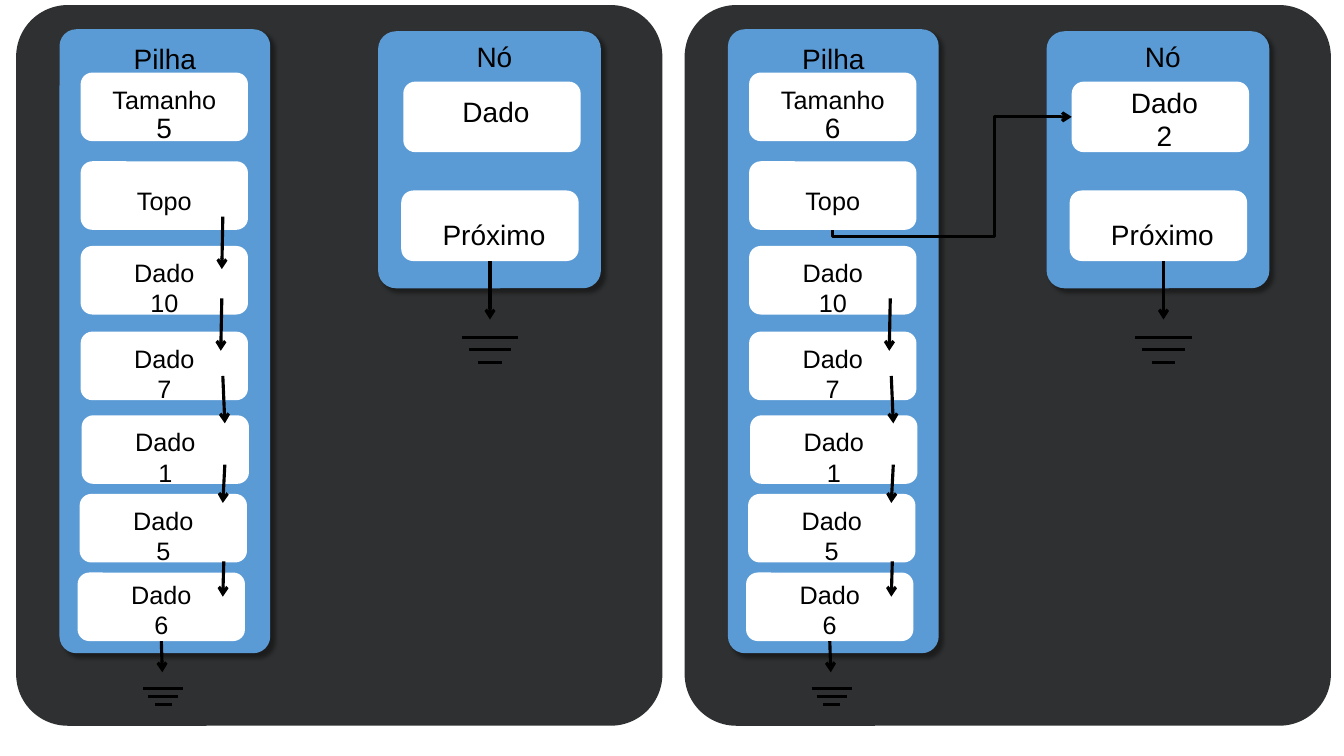
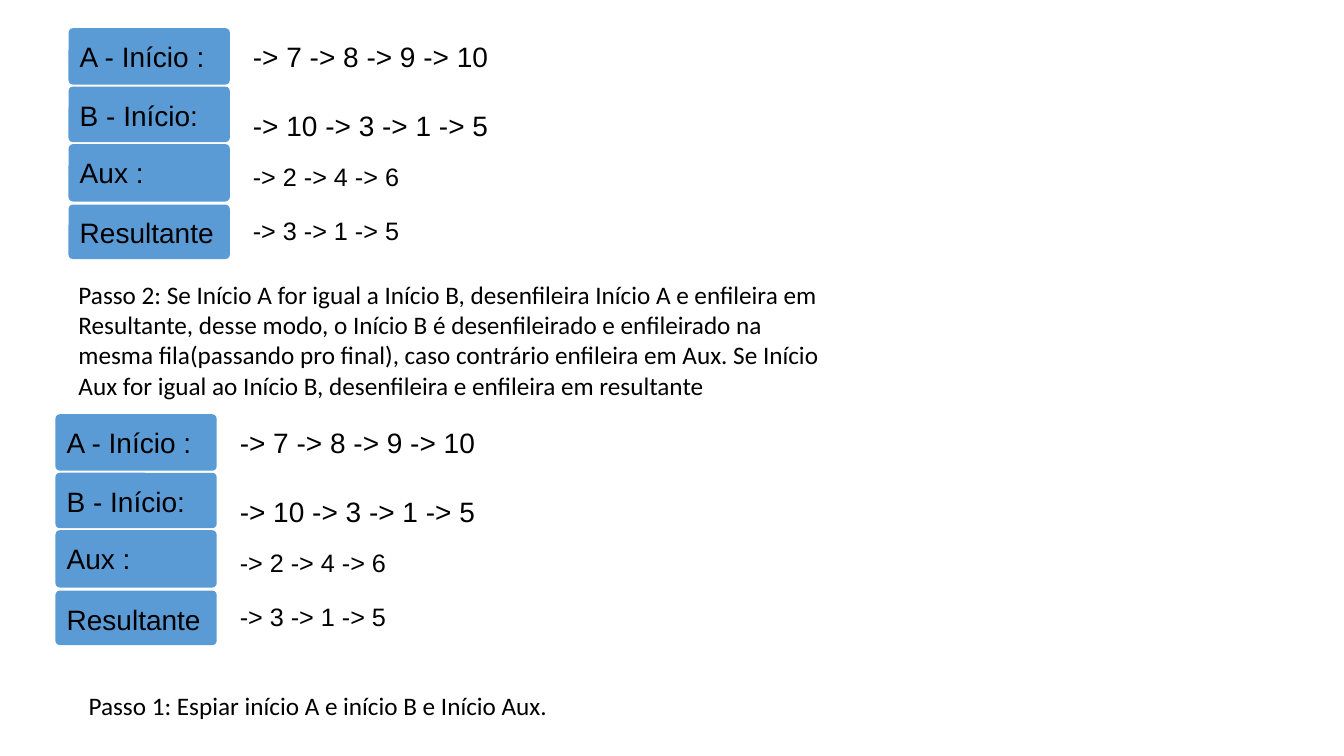
from collections import namedtuple

from lxml import etree
from pptx import Presentation
from pptx.dml.color import RGBColor
from pptx.enum.shapes import MSO_CONNECTOR, MSO_SHAPE
from pptx.enum.text import MSO_ANCHOR, PP_ALIGN
from pptx.oxml.ns import qn
from pptx.util import Inches, Pt

ROUNDED = MSO_SHAPE.ROUNDED_RECTANGLE
STRAIGHT = MSO_CONNECTOR.STRAIGHT
ELBOW = MSO_CONNECTOR.ELBOW
TOP = MSO_ANCHOR.TOP
LEFT = PP_ALIGN.LEFT
CENTER = PP_ALIGN.CENTER

BLACK = RGBColor(0x00, 0x00, 0x00)
WHITE = RGBColor(0xFF, 0xFF, 0xFF)
BLUE = RGBColor(0x5B, 0x9B, 0xD5)
DARK = RGBColor(0x2F, 0x30, 0x31)

SLIDE_WIDTH = Inches(13.33)
SLIDE_HEIGHT = Inches(7.5)
COLUMN = SLIDE_WIDTH / 1333
ROW = SLIDE_HEIGHT / 750

DIAGRAM_FONT = "Arial"
STEP_FONT = "Calibri"
LARGE = 20
SMALL = 18
SOFT_CORNER = 0.08
CELL_CORNER = 0.17
BOTTOM_SIDE = 2

Box = namedtuple("Box", "left top width height")
Cell = namedtuple("Cell", "left top inset lines")


def inside(box, left, top, width, height):
    return Box(box.left + left, box.top + top, width, height)


def emu(box):
    return (round(box.left * COLUMN), round(box.top * ROW),
            round(box.width * COLUMN), round(box.height * ROW))


def write(shape, lines, align=CENTER, font=DIAGRAM_FONT, margins=(0, 0)):
    frame = shape.text_frame
    frame.word_wrap = True
    frame.vertical_anchor = TOP
    frame.margin_left = round(margins[0] * COLUMN)
    frame.margin_top = round(margins[1] * ROW)
    frame.margin_right = frame.margin_bottom = 0
    for index, (text, size) in enumerate(lines):
        para = frame.add_paragraph() if index else frame.paragraphs[0]
        para.alignment = align
        if index and size > lines[0][1]:
            para.line_spacing = 0.9
        span = para.add_run()
        span.text = text
        span.font.name = font
        span.font.size = Pt(size)
        span.font.color.rgb = BLACK


def block(page, box, fill, corner=SOFT_CORNER):
    shape = page.shapes.add_shape(ROUNDED, *emu(box))
    shape.adjustments[0] = corner
    shape.shadow.inherit = False
    shape.fill.solid()
    shape.fill.fore_color.rgb = fill
    shape.line.fill.background()
    return shape


def label(page, box, text, size, font=DIAGRAM_FONT):
    write(page.shapes.add_textbox(*emu(box)), [(text, size)], LEFT, font, (10, 5))


def cast_shadow(shape):
    effects = shape.element.spPr.find(qn("a:effectLst"))
    shadow = etree.SubElement(effects, qn("a:outerShdw"), blurRad=str(Pt(3)),
                              dist=str(Pt(4)), dir="2700000", algn="tl", rotWithShape="0")
    color = etree.SubElement(shadow, qn("a:srgbClr"), val=str(BLACK))
    etree.SubElement(color, qn("a:alpha"), val="40000")


def style_line(line, arrow):
    line.line.color.rgb = BLACK
    line.line.width = Pt(2.25)
    if arrow:
        etree.SubElement(line.line._get_or_add_ln(), qn("a:tailEnd"), type="arrow")
    etree.SubElement(line.element.spPr, qn("a:effectLst"))


def straight(page, box, start, end, arrow=True, source=None):
    points = [round(value) for x, y in (start, end)
              for value in ((box.left + x) * COLUMN, (box.top + y) * ROW)]
    line = page.shapes.add_connector(STRAIGHT, *points)
    if source is not None:
        line.begin_connect(source, BOTTOM_SIDE)
    style_line(line, arrow)


def ground(page, box, center, top, width, gap):
    for index, share in enumerate((1, 0.75, 0.42)):
        half = width * share / 2
        y = top + index * gap
        straight(page, box, (center - half, y), (center + half, y), arrow=False)


def bent_arrow(page, source, target):
    start_x, start_y = source.left + source.width // 2, source.top + source.height
    end_x, end_y = target.left, target.top + target.height // 2
    middle_x, middle_y = (start_x + end_x) // 2, (start_y + end_y) // 2
    half_width, half_height = (start_y - end_y) // 2, (end_x - start_x) // 2
    line = page.shapes.add_connector(ELBOW, middle_x + half_width, middle_y + half_height,
                                     middle_x - half_width, middle_y - half_height)
    properties = line.element.spPr
    properties.find(qn("a:xfrm")).set("rot", "5400000")
    geometry = properties.find(qn("a:prstGeom"))
    geometry.set("prst", "bentConnector4")
    guides = geometry.find(qn("a:avLst"))
    if guides is None:
        guides = etree.SubElement(geometry, qn("a:avLst"))
    for name, value in (("adj1", -5600), ("adj2", 67600)):
        etree.SubElement(guides, qn("a:gd"), name=name, fmla=f"val {value}")
    style_line(line, True)


def container(page, box, title, margins):
    shape = block(page, box, BLUE)
    cast_shadow(shape)
    write(shape, [(title, LARGE)], margins=margins)


def fill_cells(page, box, cells, width, height, indent=0):
    shapes = []
    for cell in cells:
        shape = block(page, inside(box, cell.left, cell.top, width, height), WHITE, CELL_CORNER)
        write(shape, cell.lines, margins=(indent, cell.inset))
        shapes.append(shape)
    return shapes


def stack(page, box, size, top_linked):
    container(page, box, "Pilha", (0, 7))
    cells = [Cell(21, 43, 8, [("Tamanho", SMALL), (size, LARGE)]),
             Cell(21, 131, 20, [("Topo", SMALL)])]
    for left, top, inset, value in ((21, 215, 8, "10"), (21, 300, 8, "7"), (22, 383, 8, "1"),
                                    (20, 461, 8, "5"), (18, 539, 3, "6")):
        cells.append(Cell(left, top, inset, [("Dado", SMALL), (value, SMALL)]))
    shapes = fill_cells(page, box, cells, 166, 68)
    links = [((162, 186), (161, 238)), ((161, 267), (160, 319)), ((162, 344), (164, 391)),
             ((164, 432), (162, 470)), ((163, 528), (162, 563))]
    for start, end in links if top_linked else links[1:]:
        straight(page, box, start, end)
    straight(page, box, (101, 607), (102, 638), source=shapes[-1])
    ground(page, box, 103, 654, 40, 8)
    return shapes[1]


def node(page, box, value, drift):
    container(page, box, "Nó", (10, 3))
    data = [("Dado", LARGE)] + ([(value, LARGE)] if value else [])
    cells = [Cell(25, 50, 0 if value else 9, data),
             Cell(23, 158, 23, [("Próximo", LARGE)])]
    data_cell, next_cell = fill_cells(page, box, cells, 176, 70, 8)
    center = 111 + drift
    straight(page, box, (center, 228), (center, 286), source=None if drift else next_cell)
    ground(page, box, center, 303.5, 56, 12.5)
    return data_cell


def stack_panel(page, box, size, value=None, drift=0):
    block(page, box, DARK)
    top_cell = stack(page, inside(box, 43, 24, 209, 619), size, value is None)
    data_cell = node(page, inside(box, 359, 26, 221, 255), value, drift)
    if value:
        bent_arrow(page, top_cell, data_cell)


def queue_table(page, box):
    rows = [("A - Início :", 0, 56, "-> 7 -> 8 -> 9 -> 10", 6, LARGE),
            ("B - Início:", 58, 55, "-> 10 -> 3 -> 1 -> 5", 75, LARGE),
            ("Aux :", 115, 57, "-> 2 -> 4 -> 6", 127, SMALL),
            ("Resultante", 175, 54, "-> 3 -> 1 -> 5", 181, SMALL)]
    for name, top, height, chain, chain_top, size in rows:
        shape = block(page, inside(box, 0, top, 160, height), BLUE)
        write(shape, [(name, LARGE)], LEFT, margins=(10, 10))
        label(page, inside(box, 173, chain_top, box.width - 173, 44), chain, size)


def stack_slide(page):
    stack_panel(page, Box(16, 5, 641, 715), "5")
    stack_panel(page, Box(679, 5, 641, 715), "6", "2", 5)


def queue_slide(page):
    queue_table(page, Box(68, 28, 599, 229))
    label(page, Box(68, 272, 751, 131),
          "Passo 2: Se Início A for igual a Início B, desenfileira Início A e enfileira em "
          "Resultante, desse modo, o Início B é desenfileirado e enfileirado na mesma "
          "fila(passando pro final), caso contrário enfileira em Aux. Se Início Aux for igual "
          "ao Início B, desenfileira e enfileira em resultante", SMALL, STEP_FONT)
    queue_table(page, Box(55, 411, 599, 229))
    label(page, Box(78, 680, 488, 40),
          "Passo 1: Espiar início A e início B e Início Aux.", SMALL, STEP_FONT)


def main():
    deck = Presentation()
    deck.slide_width = SLIDE_WIDTH
    deck.slide_height = SLIDE_HEIGHT
    for build in (stack_slide, queue_slide):
        build(deck.slides.add_slide(deck.slide_layouts[6]))
    deck.save("out.pptx")


if __name__ == "__main__":
    main()
